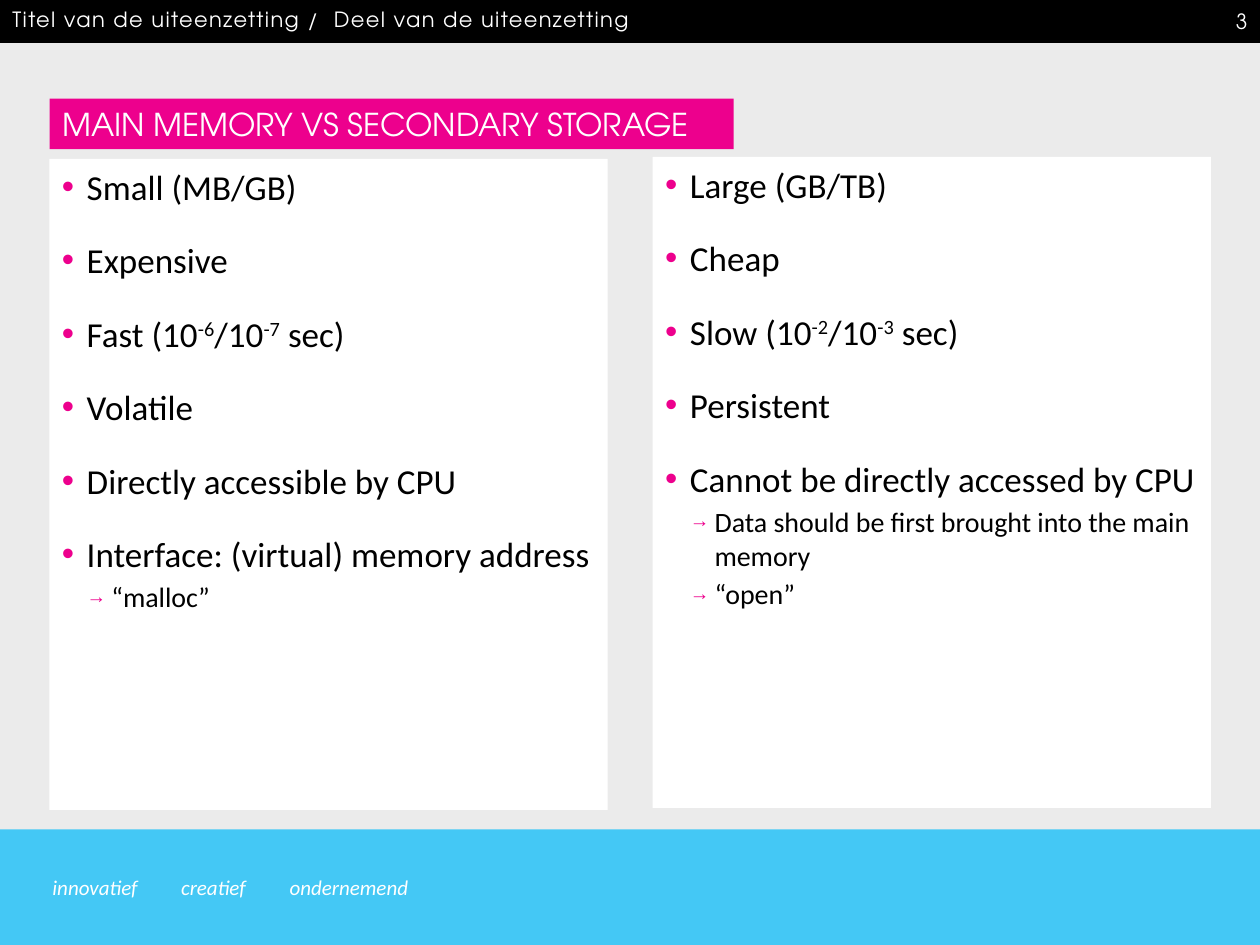
from lxml import etree
from pptx import Presentation
from pptx.dml.color import RGBColor
from pptx.enum.shapes import MSO_SHAPE
from pptx.enum.text import MSO_ANCHOR, MSO_AUTO_SIZE, PP_ALIGN
from pptx.oxml.ns import qn
from pptx.util import Pt

RECT = MSO_SHAPE.RECTANGLE
TOP, MID = MSO_ANCHOR.TOP, MSO_ANCHOR.MIDDLE
LEFT, RIGHT = PP_ALIGN.LEFT, PP_ALIGN.RIGHT
FIXED, GROW = MSO_AUTO_SIZE.NONE, MSO_AUTO_SIZE.SHAPE_TO_FIT_TEXT

PINK, BLUE, GREY = "ED008D", "44C8F5", "EBEBEB"
BLACK, WHITE = "000000", "FFFFFF"
SANS, HEAD = "Calibri", "TeX Gyre Adventor"

# Size, space before, left indent, bullet and bullet percentage per level
LEVELS = [(20, 18, 14.2, "•", 100), (16, 3, 28.3, "→", 70)]
HANG = 14.2

# Each item is a level and its runs; odd runs are superscript
MAIN = [
    (0, ["Small (MB/GB)"]),
    (0, ["Expensive"]),
    (0, ["Fast (10", "-6", "/10", "-7", " sec)"]),
    (0, ["Volatile"]),
    (0, ["Directly accessible by CPU"]),
    (0, ["Interface: (virtual) memory address"]),
    (1, ["“malloc”"]),
]
DISK = [
    (0, ["Large (GB/TB)"]),
    (0, ["Cheap"]),
    (0, ["Slow (10", "-2", "/10", "-3", " sec)"]),
    (0, ["Persistent"]),
    (0, ["Cannot be directly accessed by CPU"]),
    (1, ["Data should be first brought into the main memory"]),
    (1, ["“open”"]),
]


def paint(fill, color):
    fill.solid()
    fill.fore_color.rgb = RGBColor.from_string(color)


def add_run(para, text, size, font, color, italic=False, **attrs):
    run = para.add_run()
    run.text = text
    run.font.size = Pt(size)
    run.font.name = font
    run.font.italic = italic
    paint(run.font.fill, color)
    for key, val in attrs.items():
        run._r.get_or_add_rPr().set(key, str(val))


def set_frame(frame, anchor=TOP, wrap=True, fit=FIXED, left=7.2, right=7.2):
    frame.word_wrap = wrap
    frame.auto_size = fit
    frame.vertical_anchor = anchor
    frame.margin_left, frame.margin_right = Pt(left), Pt(right)
    frame.margin_top = frame.margin_bottom = Pt(3.6)


def add_bar(slide, top, height, color):
    bar = slide.shapes.add_shape(RECT, 0, Pt(top), Pt(720), Pt(height))
    bar.shadow.inherit = False
    paint(bar.fill, color)
    bar.line.fill.background()


def add_label(slide, box, text, font, align=LEFT, italic=False, spc=0, **opts):
    label = slide.shapes.add_textbox(*map(Pt, box))
    set_frame(label.text_frame, **opts)
    para = label.text_frame.paragraphs[0]
    para.alignment = align
    add_run(para, text, 12, font, WHITE, italic, spc=spc)


def set_bullet(para, indent, mark, scale):
    props = para._p.get_or_add_pPr()
    props.set("marL", str(Pt(indent)))
    props.set("indent", str(-Pt(HANG)))
    color = etree.SubElement(props, qn("a:buClr"))
    etree.SubElement(color, qn("a:srgbClr"), val=PINK)
    etree.SubElement(props, qn("a:buSzPct"), val=str(scale * 1000))
    etree.SubElement(props, qn("a:buFont"), typeface="Arial")
    etree.SubElement(props, qn("a:buChar"), char=mark)


def add_list(slide, left, top, items):
    panel = slide.shapes.add_textbox(Pt(left), Pt(top), Pt(319), Pt(372))
    paint(panel.fill, WHITE)
    frame = panel.text_frame
    set_frame(frame)
    for i, (level, parts) in enumerate(items):
        para = frame.add_paragraph() if i else frame.paragraphs[0]
        size, gap, indent, mark, scale = LEVELS[level]
        para.level = level
        para.space_before = Pt(gap)
        set_bullet(para, indent, mark, scale)
        for j, text in enumerate(parts):
            add_run(para, text, size, SANS, BLACK, baseline=j % 2 * 30000)


def set_title(slide, text):
    title = slide.shapes.title
    title.left, title.top = Pt(28.3), Pt(56.3)
    title.width, title.height = Pt(391), Pt(29)
    paint(title.fill, PINK)
    set_frame(title.text_frame, anchor=MID)
    para = title.text_frame.paragraphs[0]
    para.alignment = LEFT
    add_run(para, text, 18, HEAD, WHITE)


def main():
    prs = Presentation()
    prs.slide_width, prs.slide_height = Pt(720), Pt(540)
    slide = prs.slides.add_slide(prs.slide_layouts[5])
    paint(slide.background.fill, GREY)

    # Footer and header bands
    add_bar(slide, 474, 66, BLUE)
    add_bar(slide, 0, 24.5, BLACK)

    # Footer words
    words = [("innovatief", 30, 56), ("creatief", 103.5, 44.5),
             ("ondernemend", 165.5, 75.5)]
    for word, left, width in words:
        add_label(slide, (left, 496.4, width, 21.6), word, SANS,
                  italic=True, wrap=False, fit=GROW, left=0)

    # Title and the two compared lists
    set_title(slide, "MAIN MEMORY VS SECONDARY STORAGE")
    add_list(slide, 28.3, 90.8, MAIN)
    add_list(slide, 373, 89.7, DISK)

    # Header text and page number
    add_label(slide, (0, 0, 677.5, 24.5),
              "Titel van de uiteenzetting /  Deel van de uiteenzetting",
              HEAD, spc=80, right=0)
    add_label(slide, (677.5, 0, 42.5, 24.5), "3", HEAD, align=RIGHT,
              spc=150, anchor=MID)

    prs.save("out.pptx")


if __name__ == "__main__":
    main()
